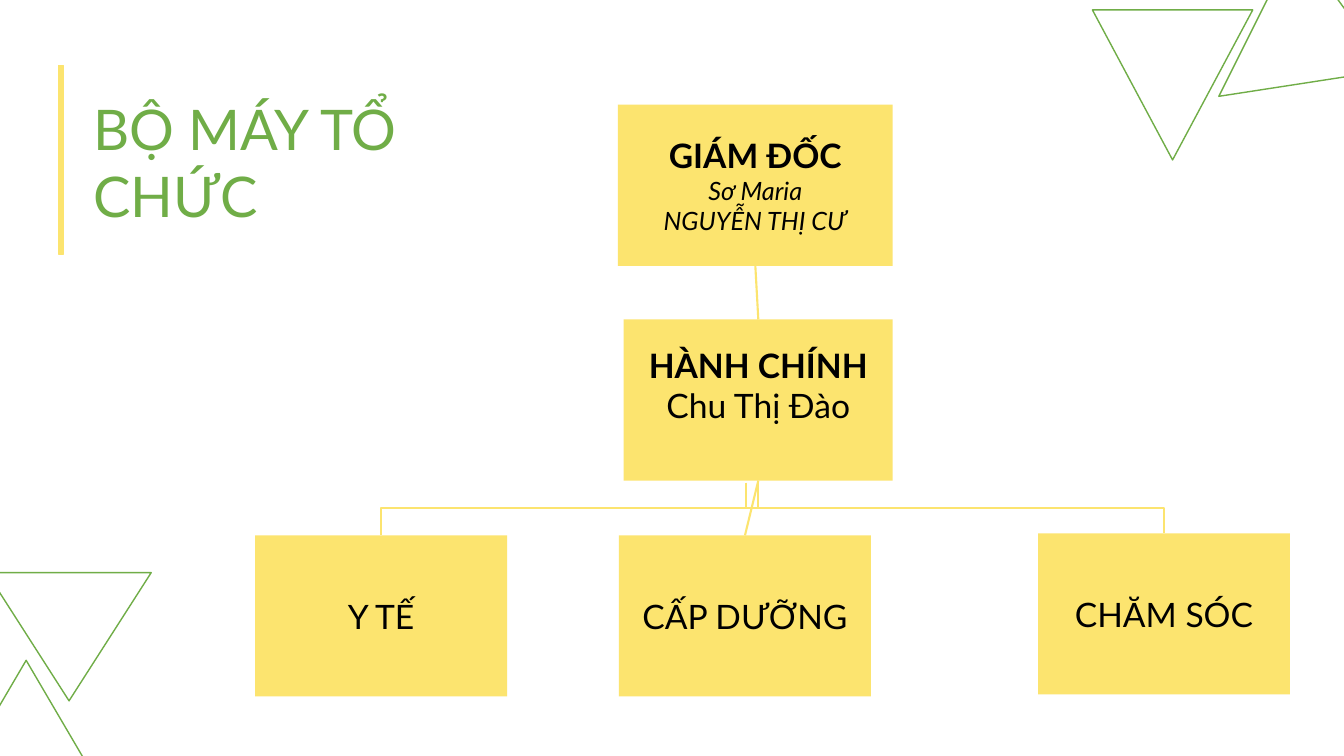
from collections import namedtuple

from lxml.etree import SubElement
from pptx import Presentation
from pptx.dml.color import RGBColor
from pptx.enum.shapes import MSO_CONNECTOR as Link, MSO_SHAPE as Shape
from pptx.enum.text import MSO_ANCHOR as Anchor, PP_ALIGN as Align
from pptx.oxml.ns import qn
from pptx.util import Cm, Pt

GREEN, YELLOW, WHITE, BLACK = "70AD47", "FCE46F", "FFFFFF", "000000"
FONT = "Lato"
BOX_HEIGHT = 4.06

Box = namedtuple("Box", "left top width height")


def color(hex_string):
    return RGBColor.from_string(hex_string)


def top_center(box):
    return box.left + box.width / 2, box.top


def bottom_center(box):
    return box.left + box.width / 2, box.top + box.height


def write(frame, text, first=False, size=24, ink=BLACK, bold=False, italic=False, align=Align.CENTER):
    para = frame.paragraphs[0] if first else frame.add_paragraph()
    para.alignment = align
    span = para.add_run()
    span.text = text
    font = span.font
    font.name, font.size, font.bold, font.italic = FONT, Pt(size), bold, italic
    font.color.rgb = color(ink)


def add_shape(page, kind, box, fill, line=None, rotation=0):
    shape = page.shapes.add_shape(kind, *map(Cm, box))
    shape.shadow.inherit = False
    shape.rotation = rotation
    shape.fill.solid()
    shape.fill.fore_color.rgb = color(fill)
    if line:
        shape.line.color.rgb = color(line)
        shape.line.width = Pt(1)
    else:
        shape.line.fill.background()
    return shape


def add_link(page, kind, start, end):
    link = page.shapes.add_connector(kind, *map(Cm, (*start, *end)))
    link.line.color.rgb = color(YELLOW)
    link.line.width = Pt(1.5)
    SubElement(link._element.spPr, qn("a:effectLst"))
    return link


def add_elbow(page, start, end):
    middle_x, middle_y = (start[0] + end[0]) / 2, (start[1] + end[1]) / 2
    half_width, half_height = (end[1] - start[1]) / 2, abs(end[0] - start[0]) / 2
    goes_right = end[0] > start[0]
    if goes_right:
        half_width = -half_width
    link = add_link(page, Link.ELBOW,
                    (middle_x - half_width, middle_y - half_height),
                    (middle_x + half_width, middle_y + half_height))
    degrees = 270 if goes_right else 90
    link._element.spPr.find(qn("a:xfrm")).set("rot", str(degrees * 60000))


def add_title(page, box, text):
    frame = page.shapes.add_textbox(*map(Cm, box)).text_frame
    frame.word_wrap = True
    write(frame, text, first=True, size=40, ink=GREEN, align=Align.LEFT)
    bar = Box(box.left - 0.64, box.top - 0.61, 0.13, 4.75)
    add_shape(page, Shape.RECTANGLE, bar, YELLOW, YELLOW)


def add_unit(page, box, lines, bottom_margin=0.13):
    frame = add_shape(page, Shape.RECTANGLE, box, YELLOW).text_frame
    frame.word_wrap = True
    frame.vertical_anchor = Anchor.MIDDLE
    frame.margin_bottom = Cm(bottom_margin)
    for index, (text, style) in enumerate(lines):
        write(frame, text, first=index == 0, **style)


def add_chart_of_units(page, left, top):
    def unit_box(across, down, width):
        return Box(left + across, top + down, width, BOX_HEIGHT)

    director = unit_box(9.14, 0, 6.93)
    office = unit_box(9.29, 5.41, 6.78)
    medical = unit_box(0, 10.85, 6.35)
    food = unit_box(9.17, 10.85, 6.35)
    care = unit_box(19.73, 10.8, 6.35)

    heading, name = {"bold": True}, {"size": 18, "italic": True}
    add_unit(page, director, [("GIÁM ĐỐC", heading), ("Sơ Maria", name), ("NGUYỄN THỊ CƯ", name)])
    add_unit(page, office, [("HÀNH CHÍNH", heading), ("Chu Thị Đào", {})], bottom_margin=0.89)
    for box, label in ((care, "CHĂM SÓC"), (food, "CẤP DƯỠNG"), (medical, "Y TẾ")):
        add_unit(page, box, [(label, {})])

    add_link(page, Link.STRAIGHT, bottom_center(director), top_center(office))
    add_link(page, Link.STRAIGHT, bottom_center(office), top_center(food))
    add_elbow(page, bottom_center(office), top_center(medical))
    office_x, office_y = bottom_center(office)
    add_elbow(page, (office_x - 0.32, office_y + 0.05), top_center(care))


def add_triangles(page, left, top, triangles):
    for across, down, width, height, rotation in triangles:
        box = Box(left + across, top + down, width, height)
        add_shape(page, Shape.ISOSCELES_TRIANGLE, box, WHITE, GREEN, rotation)


def main():
    deck = Presentation()
    deck.slide_width, deck.slide_height = Cm(33.87), Cm(19.05)
    page = deck.slides.add_slide(deck.slide_layouts[6])
    add_title(page, Box(2.11, 2.26, 12.24, 1.96), "BỘ MÁY TỔ CHỨC")
    add_chart_of_units(page, 6.43, 2.64)
    add_triangles(page, 27.53, 0.25, [(2.75, -0.89, 3.99, 3.86, 233.9), (0, 0, 4.04, 3.78, 180)])
    add_triangles(page, -0.33, 14.43, [(-0.71, 2.21, 3.4, 2.9, 0), (0, 0, 4.14, 3.23, 180)])
    deck.save("out.pptx")


if __name__ == "__main__":
    main()
